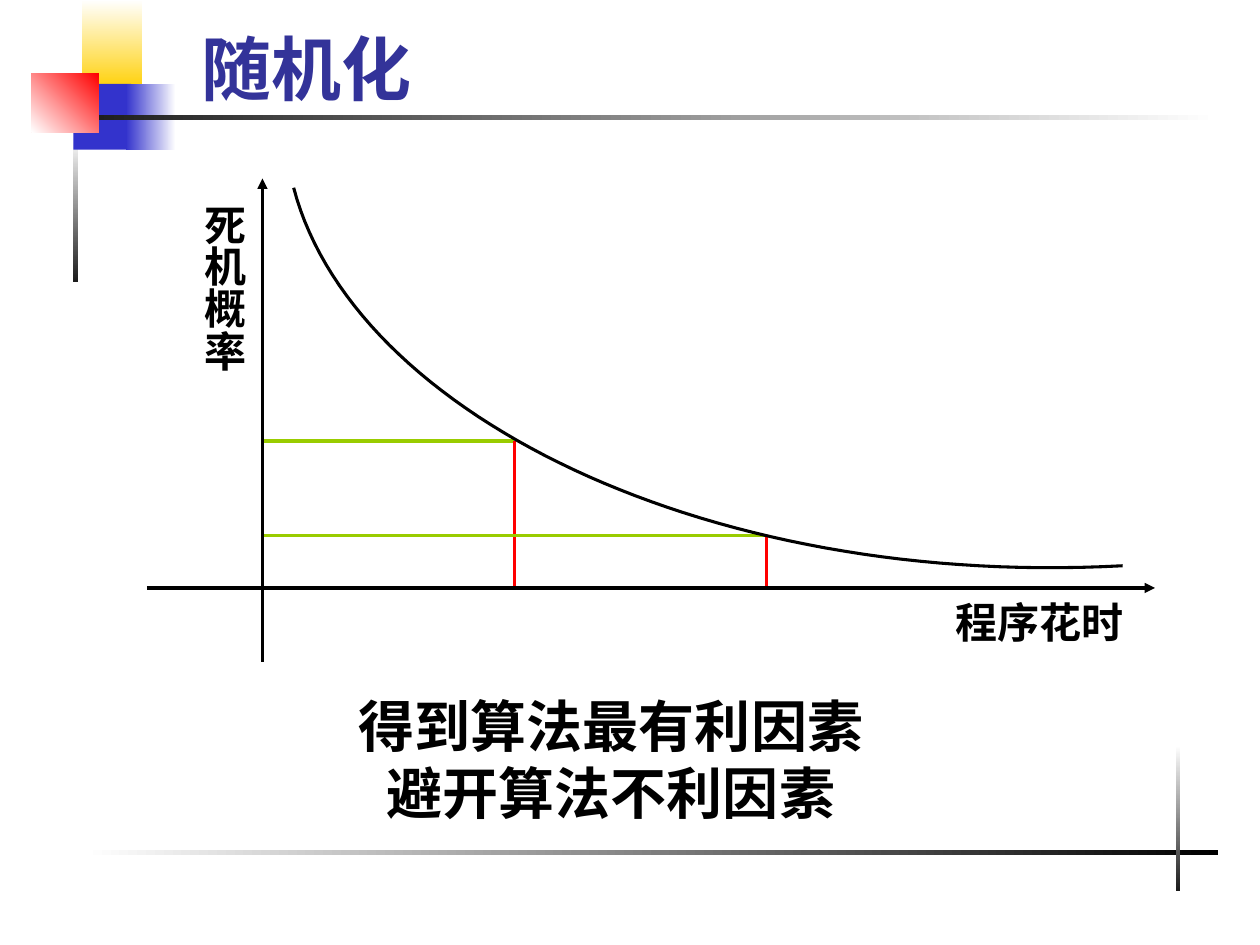
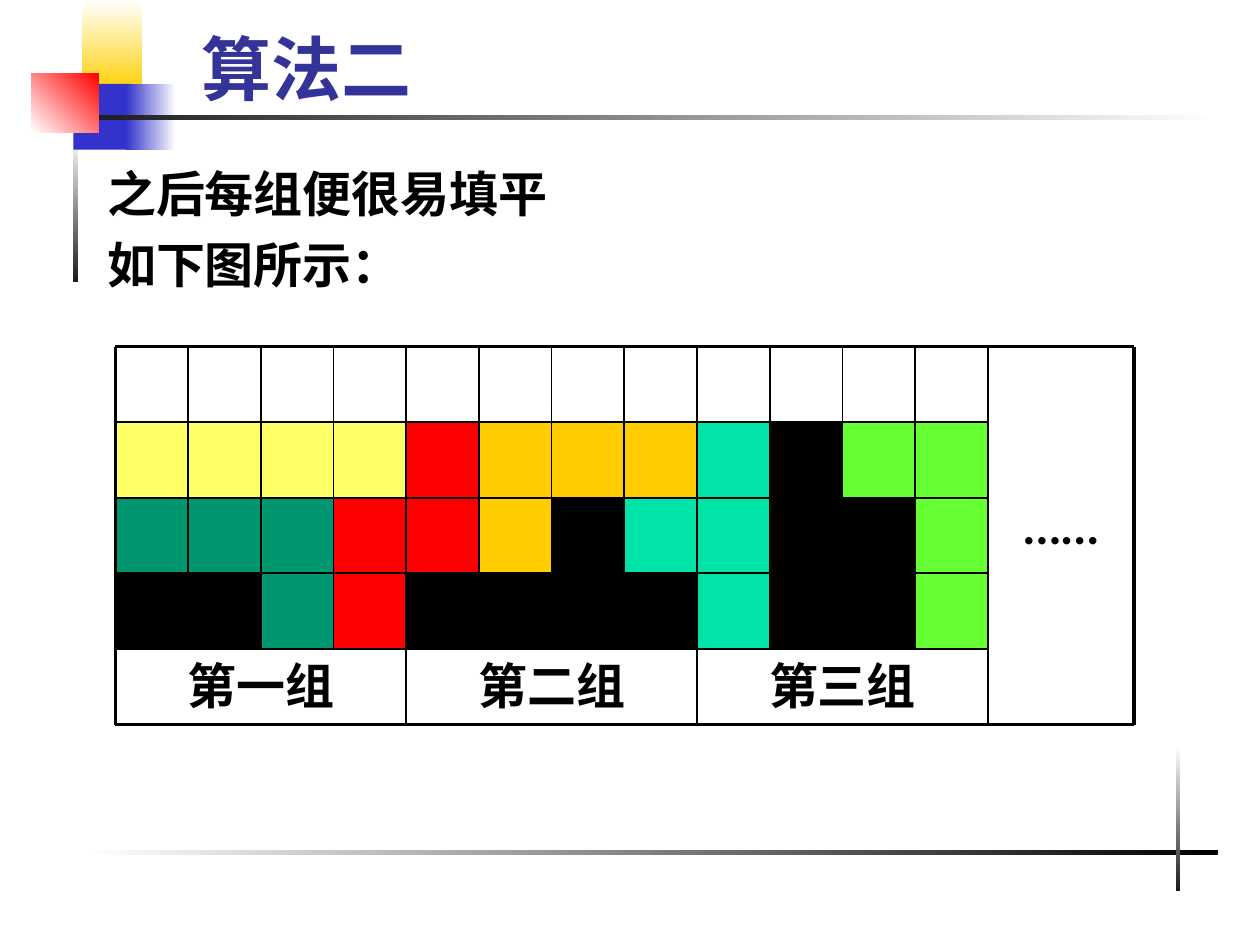
from dataclasses import dataclass

from lxml import etree
from pptx import Presentation
from pptx.dml.color import RGBColor
from pptx.enum.shapes import MSO_CONNECTOR as Connector, MSO_SHAPE as Preset
from pptx.enum.text import MSO_ANCHOR as Anchor, MSO_AUTO_SIZE as AutoSize, PP_ALIGN as Align
from pptx.oxml.ns import qn
from pptx.util import Pt


@dataclass(frozen=True)
class Theme:
    title_color: str = "333399"
    ink: str = "000000"
    paper: str = "FFFFFF"
    rule: str = "1C1C1C"
    blue: str = "3333CC"
    gold: str = "FFCF01"
    red: str = "FF0000"
    guide: str = "99CC00"
    heading_font: str = "Lato"
    body_font: str = "Noto Sans CJK SC"
    label_font: str = "Times New Roman"
    east_asian_font: str = "Lato"
    title_size: int = 40
    message_size: int = 32
    body_size: int = 28
    label_size: int = 24
    thick: float = 2.25
    medium: float = 1.75
    thin: float = 1


theme = Theme()


def write_text(shape, text, size, font, color=theme.ink, align=Align.LEFT, gap=0):
    """Fill a shape with bold text; gap is the space between paragraphs."""
    text_frame = shape.text_frame
    text_frame.text = text
    for index, paragraph in enumerate(text_frame.paragraphs):
        paragraph.alignment = align
        paragraph.space_before = Pt(gap if index else 0)
        for run in paragraph.runs:
            run.font.size = Pt(size)
            run.font.bold = True
            run.font.color.rgb = RGBColor.from_string(color)
            run.font.name = font
            east_asian = etree.SubElement(run.font._element, qn("a:ea"))
            east_asian.set("typeface", theme.east_asian_font)


def add_line(shapes, start, end, color, width, arrow=False):
    line = shapes.add_connector(
        Connector.STRAIGHT, *(Pt(value) for value in (*start, *end)))
    line.line.color.rgb = RGBColor.from_string(color)
    line.line.width = Pt(width)
    if arrow:
        etree.SubElement(line.line._get_or_add_ln(), qn("a:tailEnd")).set("type", "triangle")
    etree.SubElement(line.element.spPr, qn("a:effectLst"))


presentation = Presentation()
presentation.slide_width, presentation.slide_height = Pt(720), Pt(540)

# Slides and their titles: Title Only, then Title and Content
slides = []
for layout_index, title_text in ((5, "随机化"), (1, "算法二")):
    slide = presentation.slides.add_slide(presentation.slide_layouts[layout_index])
    title = slide.shapes.title
    title.left, title.top, title.width, title.height = Pt(108), Pt(24), Pt(570), Pt(42)
    title.text_frame.vertical_anchor = Anchor.BOTTOM
    title.text_frame.auto_size = AutoSize.NONE
    write_text(title, title_text, theme.title_size, theme.heading_font, theme.title_color)
    slides.append(slide)
curve_slide, groups_slide = slides

# Shared decoration, moved to the master: box, gradient colours, angle
decorations = [
    ((42, 78, 2.5, 83), theme.paper, theme.rule, 270),
    ((46.8, 0, 34.5, 52), theme.paper, theme.gold, 270),
    ((42, 48, 33, 37.5), theme.blue, None, 0),
    ((72, 48, 28.5, 37.5), theme.paper, theme.blue, 180),
    ((48, 66, 648, 2.75), theme.paper, theme.rule, 180),
    ((48, 486, 648, 2.5), theme.ink, theme.paper, 180),
    ((672, 426, 2.25, 83), theme.paper, theme.rule, 270),
    ((18, 42, 38.5, 33.5), theme.red, theme.paper, 225),
]
master_tree = presentation.slide_master.shapes.element
for number, (box, first, last, angle) in enumerate(decorations):
    shape = curve_slide.shapes.add_shape(Preset.RECTANGLE, *(Pt(value) for value in box))
    shape.shadow.inherit = False
    shape.line.fill.background()
    if last is None:
        shape.fill.solid()
        shape.fill.fore_color.rgb = RGBColor.from_string(first)
    else:
        shape.fill.gradient()
        shape.fill.gradient_angle = angle
        for stop, color in zip(shape.fill.gradient_stops, (first, last)):
            stop.color.rgb = RGBColor.from_string(color)
    shape.element.nvSpPr.cNvPr.set("id", str(20 + number))
    master_tree.append(shape.element)

# Slide 1: guides from the curve to both axes, then the axes
origin_x, origin_y = 150, 336
for x, y in ((294, 252), (438, 306)):
    add_line(curve_slide.shapes, (x, y), (origin_x, y), theme.guide, theme.medium)
    add_line(curve_slide.shapes, (x, origin_y), (x, y), theme.red, theme.medium)
add_line(curve_slide.shapes, (84, origin_y), (660, origin_y), theme.ink, theme.medium, arrow=True)
add_line(curve_slide.shapes, (origin_x, 378), (origin_x, 102), theme.ink, theme.medium, arrow=True)

# Falling curve, sampled from a cubic Bezier
controls = [(167.8, 107.3), (201.6, 236.2), (403.2, 336.2), (641.5, 323.3)]
steps = 60
curve_points = []
for step in range(steps + 1):
    t = step / steps
    weights = ((1 - t) ** 3, 3 * t * (1 - t) ** 2, 3 * t ** 2 * (1 - t), t ** 3)
    curve_points.append(tuple(
        Pt(sum(weight * point[axis] for weight, point in zip(weights, controls)))
        for axis in (0, 1)))
builder = curve_slide.shapes.build_freeform(*curve_points[0])
builder.add_line_segments(curve_points[1:], close=False)
curve = builder.convert_to_shape()
curve.shadow.inherit = False
curve.fill.background()
curve.line.color.rgb = RGBColor.from_string(theme.ink)
curve.line.width = Pt(theme.medium)

# Axis labels and message
labels = [
    ((103, 109.5, 43, 103.5), "死机概率", theme.label_size, Align.LEFT, True),
    ((539, 337.5, 110.5, 36), "程序花时", theme.label_size, Align.LEFT, False),
    ((198, 391.5, 302.5, 84), "得到算法最有利因素\n避开算法不利因素", theme.message_size,
     Align.CENTER, False),
]
for box, text, size, align, vertical in labels:
    label = curve_slide.shapes.add_textbox(*(Pt(value) for value in box))
    text_frame = label.text_frame
    text_frame.word_wrap = False
    text_frame.auto_size = AutoSize.SHAPE_TO_FIT_TEXT
    if vertical:
        text_frame._txBody.bodyPr.set("vert", "eaVert")
        text_frame.margin_left = text_frame.margin_right = Pt(3.6)
        text_frame.margin_top = text_frame.margin_bottom = Pt(7.2)
    write_text(label, text, size, theme.label_font, align=align)

# Slide 2: introduction
body = groups_slide.placeholders[1]
body.left, body.top, body.width, body.height = Pt(54), Pt(90), Pt(618), Pt(84)
body.fill.solid()
body.fill.fore_color.rgb = RGBColor.from_string(theme.paper)
body.text_frame.auto_size = AutoSize.NONE
write_text(body, "之后每组便很易填平\n如下图所示：", theme.body_size, theme.body_font, gap=7)
for paragraph in body.text_frame.paragraphs:
    properties = paragraph._p.get_or_add_pPr()
    properties.set("marL", str(Pt(27)))
    properties.set("indent", str(Pt(-27)))
    etree.SubElement(properties, qn("a:buNone"))

# Grid of blocks: three groups of four columns
grid_left, grid_top, grid_right = 66, 198, 648
cell_width, cell_height = 41.54, 43.2
columns, rows, group_columns = 12, 5, 4
cells_right = grid_left + columns * cell_width
labels_top = grid_top + (rows - 1) * cell_height
grid_bottom = grid_top + rows * cell_height
block_colors = {
    "Y": "FFFF66", "R": theme.red, "O": "FFCC00", "T": "00E4A8",
    "D": "00966F", "G": "66FF33", "K": theme.ink,
}
block_rows = ["YYYYROOOTKGG", "DDDRROKTTKKG", "KKDRKKKKTKKG"]
grid_shapes = groups_slide.shapes.add_group_shape().shapes
for row, letters in enumerate(block_rows, start=1):
    for column, letter in enumerate(letters):
        block = grid_shapes.add_shape(
            Preset.RECTANGLE, Pt(grid_left + column * cell_width),
            Pt(grid_top + row * cell_height), Pt(cell_width), Pt(cell_height))
        block.shadow.inherit = False
        block.line.fill.background()
        block.fill.solid()
        block.fill.fore_color.rgb = RGBColor.from_string(block_colors[letter])

# Group names and the ellipsis column: left, top, width, height, text, top inset
group_width = group_columns * cell_width
captions = [
    (grid_left + index * group_width, labels_top, group_width, cell_height, name, 3.6)
    for index, name in enumerate(("第一组", "第二组", "第三组"))
]
captions.append((cells_right, grid_top, grid_right - cells_right,
                 grid_bottom - grid_top, "……", 85))
for *box, text, inset in captions:
    caption = grid_shapes.add_textbox(*(Pt(value) for value in box))
    caption.text_frame.word_wrap = True
    caption.text_frame.margin_top = Pt(inset)
    write_text(caption, text, theme.body_size, theme.heading_font, align=Align.CENTER)

# Grid lines: thick outer frame, thin inner rules
for row in range(rows + 1):
    y = grid_top + row * cell_height
    outer = row in (0, rows)
    add_line(grid_shapes, (grid_left, y), (grid_right if outer else cells_right, y),
             theme.ink, theme.thick if outer else theme.thin)
for column in range(columns + 1):
    x = grid_left + column * cell_width
    bottom = labels_top if column % group_columns else grid_bottom
    add_line(grid_shapes, (x, grid_top), (x, bottom), theme.ink,
             theme.thin if column else theme.thick)
add_line(grid_shapes, (grid_right, grid_top), (grid_right, grid_bottom), theme.ink, theme.thick)

presentation.save("out.pptx")
